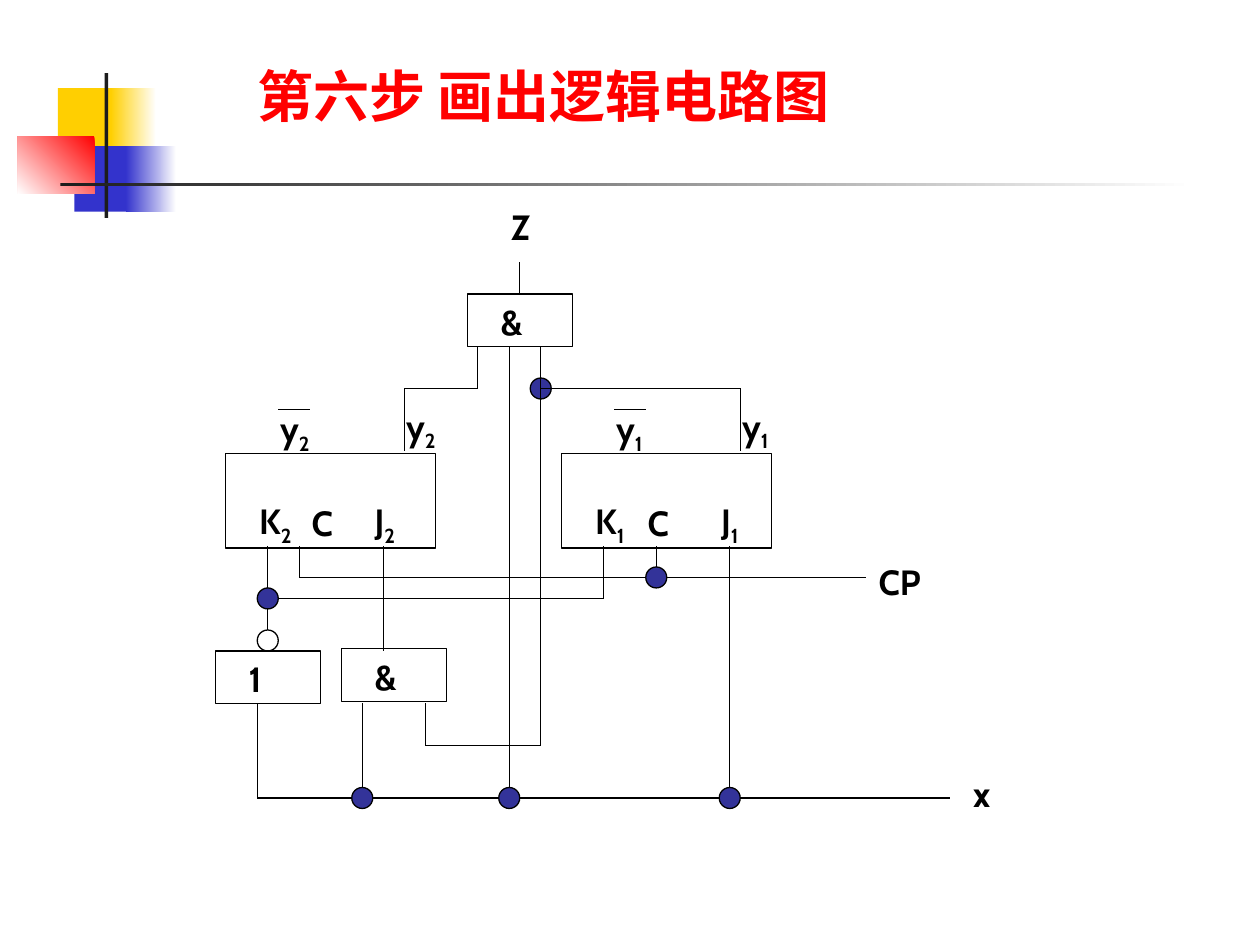
from lxml import etree
from pptx import Presentation
from pptx import util as u
from pptx.dml.color import RGBColor
from pptx.enum import shapes, text
from pptx.oxml.ns import qn

BLACK, WHITE, NAVY = "000000", "FFFFFF", "333399"
STAGE_STEP = 32  # columns between the two flip-flops


def rgb(value):
    return RGBColor.from_string(value)


def write(frame, content, size=20, color=BLACK, font="Cabin", subscript=""):
    """Write bold, left-aligned text with an optional subscript."""
    frame.word_wrap = True
    frame.vertical_anchor = text.MSO_ANCHOR.TOP
    paragraph = frame.paragraphs[0]
    paragraph.alignment = text.PP_ALIGN.LEFT
    paragraph.space_before = u.Pt(0)
    for part, lowered in ((content, False), (subscript, True)):
        if not part:
            continue
        run = paragraph.add_run()
        run.text = part
        run.font.name, run.font.size, run.font.bold = font, u.Pt(size), True
        run.font.color.rgb = rgb(color)
        if lowered:
            run.font._element.set("baseline", "-25000")


class CircuitSlide:
    """Grid of 1/12 inch cells; columns start half a cell from the left edge."""

    cell = u.Inches(1) / 12
    line_width = u.Pt(0.75)

    def __init__(self, slide):
        self.slide = slide

    def x(self, column):
        return round((column + 0.5) * self.cell)

    def y(self, row):
        return round(row * self.cell)

    def box(self, column, row, width, height):
        return self.x(column), self.y(row), self.y(width), self.y(height)

    def title(self, content, *place):
        title = self.slide.shapes.title
        title.left, title.top, title.width, title.height = self.box(*place)
        write(title.text_frame, content, size=32, color="FF0000")

    def shape(self, kind, *place, fill=None, line=BLACK, fade=None, parent=None):
        shape = (parent or self.slide).shapes.add_shape(kind, *self.box(*place))
        shape.shadow.inherit = False
        if fade is not None:
            shape.fill.gradient()
            shape.fill.gradient_angle = fade
            for stop, color in zip(shape.fill.gradient_stops, (fill, WHITE)):
                stop.color.rgb = rgb(color)
        elif fill:
            shape.fill.solid()
            shape.fill.fore_color.rgb = rgb(fill)
        else:
            shape.fill.background()
        if line:
            shape.line.color.rgb = rgb(line)
            shape.line.width = self.line_width
        else:
            shape.line.fill.background()
        return shape

    def rectangle(self, *place, **style):
        return self.shape(shapes.MSO_SHAPE.RECTANGLE, *place, **style)

    def circle(self, column, row, fill=NAVY):
        return self.shape(shapes.MSO_SHAPE.OVAL, column - 1, row - 1, 2, 2, fill=fill)

    def label(self, content, column, row, width=6, subscript="", parent=None):
        height = 5.76 if subscript else 5.28
        box = (parent or self.slide).shapes.add_textbox(
            *self.box(column, row, width, height))
        write(box.text_frame, content, subscript=subscript)
        box.text_frame.auto_size = text.MSO_AUTO_SIZE.SHAPE_TO_FIT_TEXT

    def wire(self, *points):
        """Join successive (column, row) points; return the last segment."""
        for start, end in zip(points, points[1:]):
            connector = self.slide.shapes.add_connector(
                shapes.MSO_CONNECTOR.STRAIGHT, self.x(start[0]), self.y(start[1]),
                self.x(end[0]), self.y(end[1]))
            connector.line.color.rgb = rgb(BLACK)
            connector.line.width = self.line_width
            etree.SubElement(connector._element.spPr, qn("a:effectLst"))
        return connector

    def gate(self, symbol, column, row):
        group = self.slide.shapes.add_group_shape()
        body = self.rectangle(column, row, 10, 5, parent=group)
        self.label(symbol, column + 2, row, width=5, parent=group)
        return body

    def flip_flop(self, number, column, j_column):
        self.rectangle(column, 43.2, 20, 9)
        self.label("K", column + 2, 47, width=7, subscript=number)
        self.label("y", column + 4, 38.2, subscript=number)
        self.label("y", column + 16, 38, subscript=number)
        self.label("C", column + 7, 47.2)
        self.label("J", j_column, 47, subscript=number)
        self.wire((column + 5, 39), (column + 8, 39))  # bar over inverted output


def main():
    presentation = Presentation()
    presentation.slide_width, presentation.slide_height = u.Inches(10), u.Inches(7.5)
    circuit = CircuitSlide(
        presentation.slides.add_slide(presentation.slide_layouts[5]))

    # Corner ornament: place, colour, fade angle
    for place, color, fade in (
        ((5.02, 8.4, 5.76, 6.24), "FFCF01", None),
        ((10.06, 8.4, 4.32, 6.24), "FFCF01", 0),
        ((6.58, 13.92, 5.52, 6.24), "3333CC", None),
        ((11.5, 13.92, 4.8, 6.24), "3333CC", 0),
        ((1.18, 12.96, 7.32, 5.52), "FF0000", 225),
        ((9.46, 6.96, 0.36, 13.8), "1C1C1C", None),
        ((5.26, 17.4, 108, 0.36), "1C1C1C", 0),
    ):
        circuit.rectangle(*place, fill=color, line=None, fade=fade)
    circuit.title("第六步 画出逻辑电路图", 22.78, 5.28, 66.96, 9.96)

    # Flip-flops and gates
    circuit.flip_flop("2", 21, j_column=34)
    circuit.flip_flop("1", 21 + STAGE_STEP, j_column=67)
    circuit.gate("&", 32, 61.8)
    circuit.gate("1", 20, 62)
    output_gate = circuit.gate("&", 44, 28)
    inverter_bubble = circuit.circle(25, 61, fill=None)
    circuit.circle(51, 37)

    # Wires
    for route in (
        ((28, 52), (28, 55), (82, 55)),                     # clock
        ((28 + STAGE_STEP + 2 - 2, 39), (61, 39))[:0] or ((62, 52), (62, 55)),
        ((36, 52), (36, 62)),                               # J2 input
        ((51, 33), (51, 71), (40, 71), (40, 67)),           # y1 feedback
        ((51, 37), (70, 37), (70, 43)),                     # y1 output
        ((45, 33), (45, 37), (38, 37), (38, 43)),           # y2 output
        ((24, 67), (24, 76), (90, 76)),                     # input x
        ((34, 67), (34, 76)),
        ((48, 33), (48, 76)),
        ((69, 52), (69, 76)),                               # J1 input
        ((25, 57), (57, 57), (57, 52)),                     # K1 input
    ):
        circuit.wire(*route)
    circuit.wire((25, 52), (25, 60)).end_connect(inverter_bubble, 0)
    circuit.wire((49, 25), (49, 28)).end_connect(output_gate, 0)

    # Junctions
    for column, row in ((62, 55), (69, 76), (34, 76), (48, 76), (25, 57)):
        circuit.circle(column, row)

    # Terminal names
    for name, column, row in (("Z", 47, 19), ("CP", 82, 52.8), ("x", 91, 73)):
        circuit.label(name, column, row, width=7)

    presentation.save("out.pptx")


if __name__ == "__main__":
    main()
